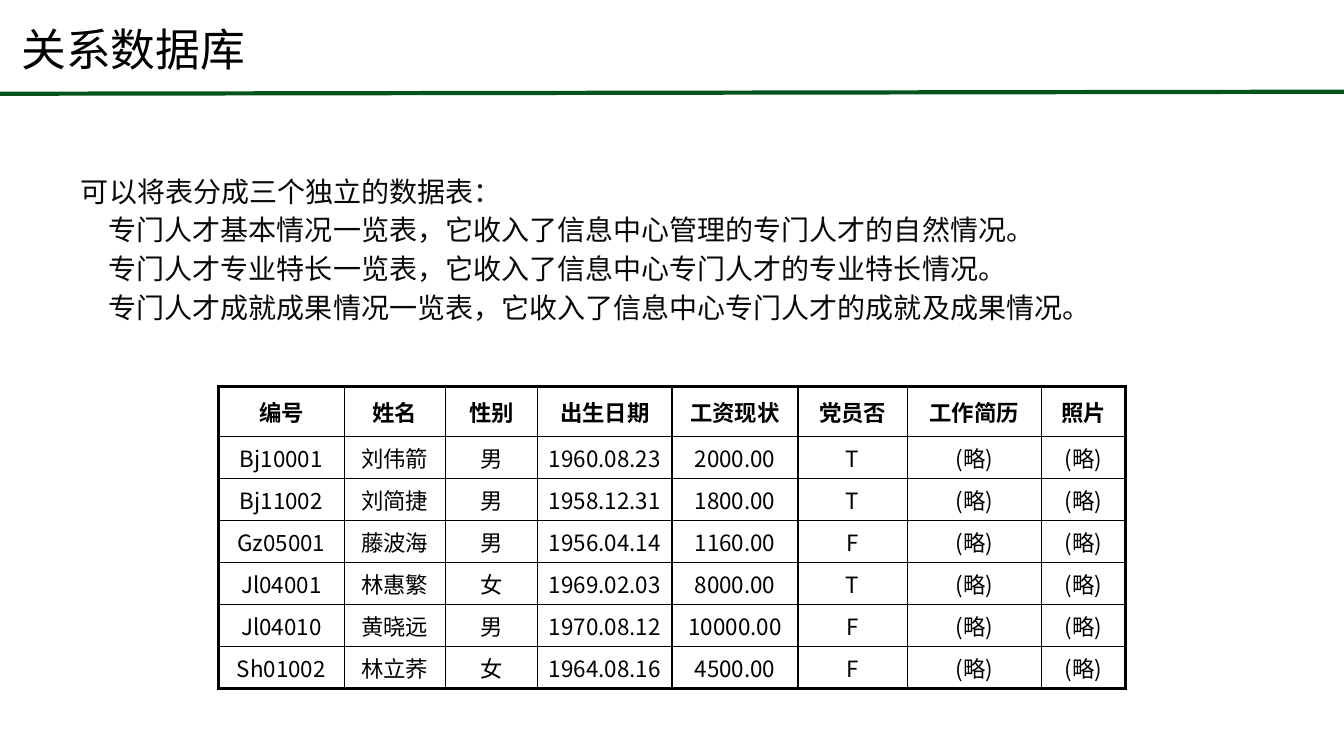
from lxml.etree import SubElement
from pptx import Presentation
from pptx.dml.color import RGBColor
from pptx.enum.shapes import MSO_CONNECTOR
from pptx.enum.text import MSO_ANCHOR, MSO_AUTO_SIZE, PP_ALIGN
from pptx.oxml import parse_xml
from pptx.oxml.ns import nsdecls, qn
from pptx.util import Inches, Pt

FACE = "Noto Sans CJK SC"
BLACK, INK, GREEN = "000000", "080808", "00531D"
COLUMNS, ROWS = 160, 90
THIN, THICK = 1, 2.25

HEADING = "关系数据库"
INTRO = "可以将表分成三个独立的数据表："
SUBTABLES = [
    "专门人才基本情况一览表，它收入了信息中心管理的专门人才的自然情况。",
    "专门人才专业特长一览表，它收入了信息中心专门人才的专业特长情况。",
    "专门人才成就成果情况一览表，它收入了信息中心专门人才的成就及成果情况。",
]
FIELDS = {"编号": 15, "姓名": 12, "性别": 11, "出生日期": 16,
          "工资现状": 15, "党员否": 13, "工作简历": 16, "照片": 10}
OMITTED = ("(略)", "(略)")
PEOPLE = [
    ("Bj10001", "刘伟箭", "男", "1960.08.23", "2000.00", "T", *OMITTED),
    ("Bj11002", "刘简捷", "男", "1958.12.31", "1800.00", "T", *OMITTED),
    ("Gz05001", "藤波海", "男", "1956.04.14", "1160.00", "F", *OMITTED),
    ("Jl04001", "林惠繁", "女", "1969.02.03", "8000.00", "T", *OMITTED),
    ("Jl04010", "黄晓远", "男", "1970.08.12", "10000.00", "F", *OMITTED),
    ("Sh01002", "林立荞", "女", "1964.08.16", "4500.00", "F", *OMITTED),
]
HEADER_ROWS, PERSON_ROWS = 6, 5


def grid(units):
    """Turn grid units, twelve to the inch, into a length."""
    return Inches(units / 12)


def color(value):
    """Turn a hex string into a colour."""
    return RGBColor.from_string(value)


def apply(target, **values):
    """Set every given format value on the target."""
    for name, value in values.items():
        setattr(target, name, value)


def write(paragraph, text, size, ink, bold=False, **layout):
    """Write one formatted run into a paragraph."""
    run = paragraph.add_run()
    run.text = text
    apply(run.font, name=FACE, size=Pt(size), bold=bold)
    run.font.color.rgb = color(ink)
    SubElement(run.font._element, qn("a:ea"), typeface=FACE)
    apply(paragraph, **layout)


def place(placeholder, box):
    """Move a placeholder to its grid box and return its text frame."""
    left, top, width, height = map(grid, box)
    apply(placeholder, left=left, top=top, width=width, height=height)
    frame = placeholder.text_frame
    apply(frame, auto_size=MSO_AUTO_SIZE.NONE, word_wrap=True,
          vertical_anchor=MSO_ANCHOR.MIDDLE)
    return frame


def add_heading(slide, box):
    """Fill the title placeholder."""
    frame = place(slide.shapes.title, box)
    frame.margin_left = grid(2.3)
    write(frame.paragraphs[0], HEADING, 32, BLACK,
          alignment=PP_ALIGN.LEFT, line_spacing=0.9)


def add_rule(slide, start, end):
    """Draw the green rule under the heading."""
    rule = slide.shapes.add_connector(
        MSO_CONNECTOR.STRAIGHT, *map(grid, start + end))
    rule.line.color.rgb = color(GREEN)
    rule.line.width = Pt(3)
    SubElement(rule._element.spPr, qn("a:effectLst"))


def add_explanation(slide, box):
    """Fill the body placeholder with the intro and the indented items."""
    frame = place(slide.placeholders[1], box)
    for index, text in enumerate([INTRO, *SUBTABLES]):
        paragraph = frame.add_paragraph() if index else frame.paragraphs[0]
        write(paragraph, text, 20, INK, alignment=PP_ALIGN.JUSTIFY,
              line_spacing=0.9, space_before=Pt(6))
        properties = paragraph._p.get_or_add_pPr()
        properties.set("marL", str(grid(7.3 if index else 4)))
        properties.set("indent", "0")
        SubElement(properties, qn("a:buNone"))


def add_borders(cell, widths):
    """Put left, right, top and bottom borders on a cell."""
    properties = cell._tc.get_or_add_tcPr()
    for index, (side, width) in enumerate(zip("LRTB", widths)):
        properties.insert(index, parse_xml(
            f'<a:ln{side} {nsdecls("a")} w="{Pt(width)}"><a:solidFill>'
            f'<a:srgbClr val="{BLACK}"/></a:solidFill></a:ln{side}>'))


def add_people_table(slide, box):
    """Draw the table of people with a thick outer frame."""
    records = [tuple(FIELDS), *PEOPLE]
    last_row, last_column = len(records) - 1, len(FIELDS) - 1
    table = slide.shapes.add_table(
        len(records), len(FIELDS), *map(grid, box)).table
    apply(table, first_row=False, horz_banding=False)
    for column, width in zip(table.columns, FIELDS.values()):
        column.width = grid(width)
    for r, record in enumerate(records):
        header = r == 0
        table.rows[r].height = grid(HEADER_ROWS if header else PERSON_ROWS)
        side, end = (Inches(0.1), Inches(0.05)) if header else (0, 0)
        for c, text in enumerate(record):
            cell = table.cell(r, c)
            cell.fill.background()
            apply(cell, vertical_anchor=MSO_ANCHOR.MIDDLE, margin_left=side,
                  margin_right=side, margin_top=end, margin_bottom=end)
            write(cell.text_frame.paragraphs[0], text, 16, BLACK, header,
                  alignment=PP_ALIGN.CENTER, space_before=Pt(3))
            outer = (c == 0, c == last_column, header, r == last_row)
            add_borders(cell, [THICK if edge else THIN for edge in outer])


def main():
    """Build and save the slide."""
    deck = Presentation()
    apply(deck, slide_width=grid(COLUMNS), slide_height=grid(ROWS))
    slide = deck.slides.add_slide(deck.slide_layouts[1])
    add_rule(slide, (0, 11.16), (COLUMNS, 10.92))
    add_heading(slide, (0.24, 0.24, 135.6, 12))
    add_explanation(slide, (4.44, 14.76, 152.16, 30.24))
    add_people_table(slide, (26, 46, 108, 36))
    deck.save("out.pptx")


if __name__ == "__main__":
    main()
